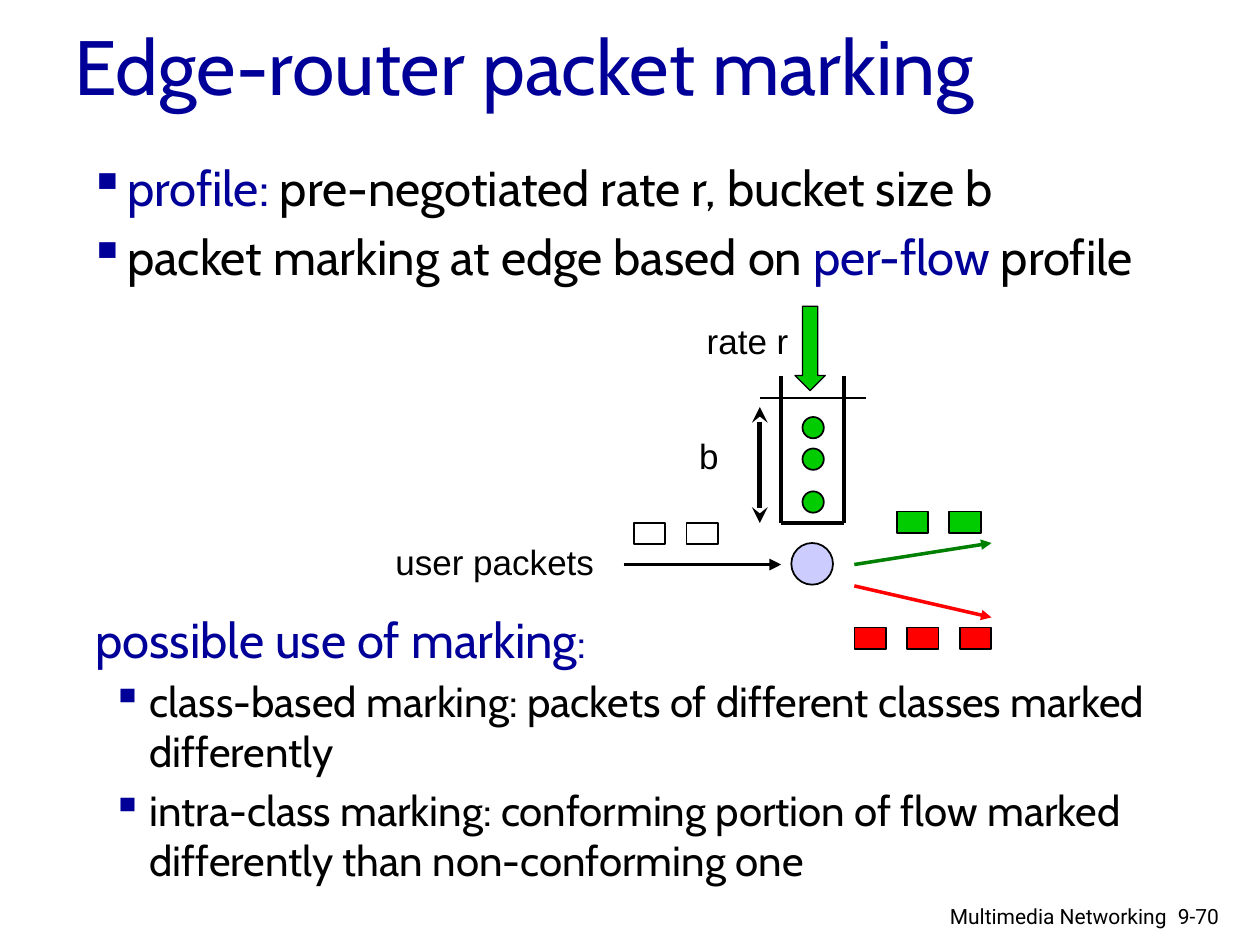
from typing import NamedTuple, Optional

from lxml.etree import SubElement
from pptx import Presentation
from pptx.dml.color import RGBColor
from pptx.enum.shapes import MSO_CONNECTOR as Connector, MSO_SHAPE as Shape
from pptx.enum.text import MSO_ANCHOR as Anchor, PP_ALIGN as Align
from pptx.oxml.ns import qn
from pptx.util import Pt

COLORS = {
    "navy": "000099",
    "black": "000000",
    "white": "FFFFFF",
    "conforming": "00CC00",
    "conforming_flow": "008000",
    "excess": "FF0000",
    "marker": "CCCCFF",
}


class Words(NamedTuple):
    text: str
    size: float
    color: str = "black"
    font: str = "Cabin"


class TextBlock(NamedTuple):
    left: float
    top: float
    width: float
    height: float
    paragraphs: list[list[Words]]
    bulleted: bool = False
    gap: float = 0
    align: Align = Align.LEFT
    anchor: Anchor = Anchor.TOP


class Outline(NamedTuple):
    kind: Shape
    left: float
    top: float
    width: float
    height: float
    fill: str
    weight: float = 1


class Line(NamedTuple):
    x1: float
    y1: float
    x2: float
    y2: float
    weight: float = 2.25
    color: str = "black"
    head: Optional[str] = None
    tail: Optional[str] = None


class PacketRow(NamedTuple):
    left: float
    top: float
    count: int
    fill: str


def rgb(name: str) -> RGBColor:
    return RGBColor.from_string(COLORS[name])


def add_bullet(paragraph) -> None:
    """Give the paragraph a navy square bullet with a hanging indent."""
    props = paragraph._p.get_or_add_pPr()
    props.set("marL", str(Pt(21.6)))
    props.set("indent", str(-Pt(21.6)))
    bullet_color = SubElement(props, qn("a:buClr"))
    SubElement(bullet_color, qn("a:srgbClr"), val=COLORS["navy"])
    SubElement(props, qn("a:buChar"), char="▪")


def draw_text(shapes, block: TextBlock) -> None:
    frame = shapes.add_textbox(
        Pt(block.left), Pt(block.top), Pt(block.width), Pt(block.height)
    ).text_frame
    frame.word_wrap = True
    frame.vertical_anchor = block.anchor
    for index, phrases in enumerate(block.paragraphs):
        paragraph = frame.add_paragraph() if index else frame.paragraphs[0]
        paragraph.alignment = block.align
        if index:
            paragraph.space_before = Pt(block.gap)
        if block.bulleted:
            add_bullet(paragraph)
        for words in phrases:
            run = paragraph.add_run()
            run.text = words.text
            run.font.name = words.font
            run.font.size = Pt(words.size)
            run.font.color.rgb = rgb(words.color)


def draw_outline(shapes, item: Outline) -> None:
    shape = shapes.add_shape(
        item.kind, Pt(item.left), Pt(item.top), Pt(item.width), Pt(item.height)
    )
    shape.shadow.inherit = False
    shape.fill.solid()
    shape.fill.fore_color.rgb = rgb(item.fill)
    shape.line.color.rgb = rgb("black")
    shape.line.width = Pt(item.weight)


def draw_line(shapes, item: Line) -> None:
    connector = shapes.add_connector(
        Connector.STRAIGHT, Pt(item.x1), Pt(item.y1), Pt(item.x2), Pt(item.y2)
    )
    connector.line.color.rgb = rgb(item.color)
    connector.line.width = Pt(item.weight)
    for tag, style in (("a:headEnd", item.head), ("a:tailEnd", item.tail)):
        if style:
            SubElement(connector.line._ln, qn(tag), type=style)
    SubElement(connector._element.spPr, qn("a:effectLst"))


def draw_packets(shapes, row: PacketRow) -> None:
    for index in range(row.count):
        left = row.left + index * PACKET_STEP
        draw_outline(shapes, Outline(Shape.RECTANGLE, left, row.top, 18, 12.2, row.fill))


PACKET_STEP = 30.1
BUCKET_LEFT, BUCKET_RIGHT = 446.4, 482.4
BUCKET_RIM, BUCKET_MIDDLE, BUCKET_BOTTOM = 214.6, 244.8, 298.8
FLOW_START, FLOW_END = 488.2, 566.6
FLOW_Y = 322.6

TEXTS = [
    TextBlock(35.3, 10.1, 612, 54,
              [[Words("Edge-router packet marking", 44, "navy")]], anchor=Anchor.MIDDLE),
    TextBlock(43.9, 86.4, 630, 72, [
        [Words("profile: ", 28, "navy"), Words("pre-negotiated rate r, bucket size b", 28)],
        [Words("packet marking at edge based on ", 28), Words("per-flow ", 28, "navy"),
         Words("profile", 28)],
    ], bulleted=True, gap=5.6),
    TextBlock(47.5, 344.9, 354.2, 41,
              [[Words("possible use of marking", 28, "navy"), Words(":", 24, "navy")]]),
    TextBlock(56.9, 382.3, 648, 144, [
        [Words("class-based marking: packets of different classes marked differently", 24)],
        [Words("intra-class marking: conforming portion of flow marked differently "
               "than non-conforming one", 24)],
    ], bulleted=True, gap=4.8),
    TextBlock(218.9, 305.3, 167.8, 31, [[Words("user packets", 20, font="Arial")]]),
    TextBlock(396.7, 179.3, 90, 31, [[Words("rate r", 20, font="Arial")]]),
    TextBlock(392.4, 244.8, 27.4, 31.7, [[Words("b", 20, font="Arial")]]),
    TextBlock(518.4, 512.6, 155.5, 20.2,
              [[Words("Multimedia Networking", 12, font="Roboto")]], align=Align.RIGHT),
    TextBlock(666, 512.6, 54, 21.6, [[Words("9-70", 12, font="Roboto")]]),
]

PACKET_ROWS = [
    PacketRow(512.4, 292.3, 2, "conforming"),
    PacketRow(488.2, 358.6, 3, "excess"),
    PacketRow(362.2, 298.8, 2, "white"),
]

OUTLINES = [
    Outline(Shape.OVAL, 452.2, 310.3, 23.8, 23.8, "marker"),
    *(Outline(Shape.OVAL, 458.6, top, 12.2, 12.2, "conforming")
      for top in (238.3, 256.3, 280.8)),
    Outline(Shape.DOWN_ARROW, 454.3, 175, 17.3, 48.2, "conforming", 0.75),
]

LINES = [
    Line(BUCKET_LEFT, BUCKET_BOTTOM, BUCKET_RIGHT, BUCKET_BOTTOM),
    *(Line(side, BUCKET_MIDDLE, side, BUCKET_BOTTOM) for side in (BUCKET_LEFT, BUCKET_RIGHT)),
    *(Line(side, BUCKET_MIDDLE, side, BUCKET_RIM, 2) for side in (BUCKET_LEFT, BUCKET_RIGHT)),
    Line(434.2, 227.5, 494.6, 227.5, 0.75),
    Line(434.2, 232.6, 434.2, BUCKET_BOTTOM, 3, head="stealth", tail="stealth"),
    Line(356.4, FLOW_Y, BUCKET_LEFT, FLOW_Y, tail="triangle"),
    Line(FLOW_START, FLOW_Y, FLOW_END, 310.3, 2, "conforming_flow", tail="triangle"),
    Line(FLOW_START, 334.8, FLOW_END, 352.8, 2, "excess", tail="triangle"),
]


def main() -> None:
    deck = Presentation()
    deck.slide_width, deck.slide_height = Pt(720), Pt(540)
    shapes = deck.slides.add_slide(deck.slide_layouts[6]).shapes
    for draw, items in (
        (draw_text, TEXTS),
        (draw_packets, PACKET_ROWS),
        (draw_line, LINES),
        (draw_outline, OUTLINES),
    ):
        for item in items:
            draw(shapes, item)
    deck.save("out.pptx")


if __name__ == "__main__":
    main()
